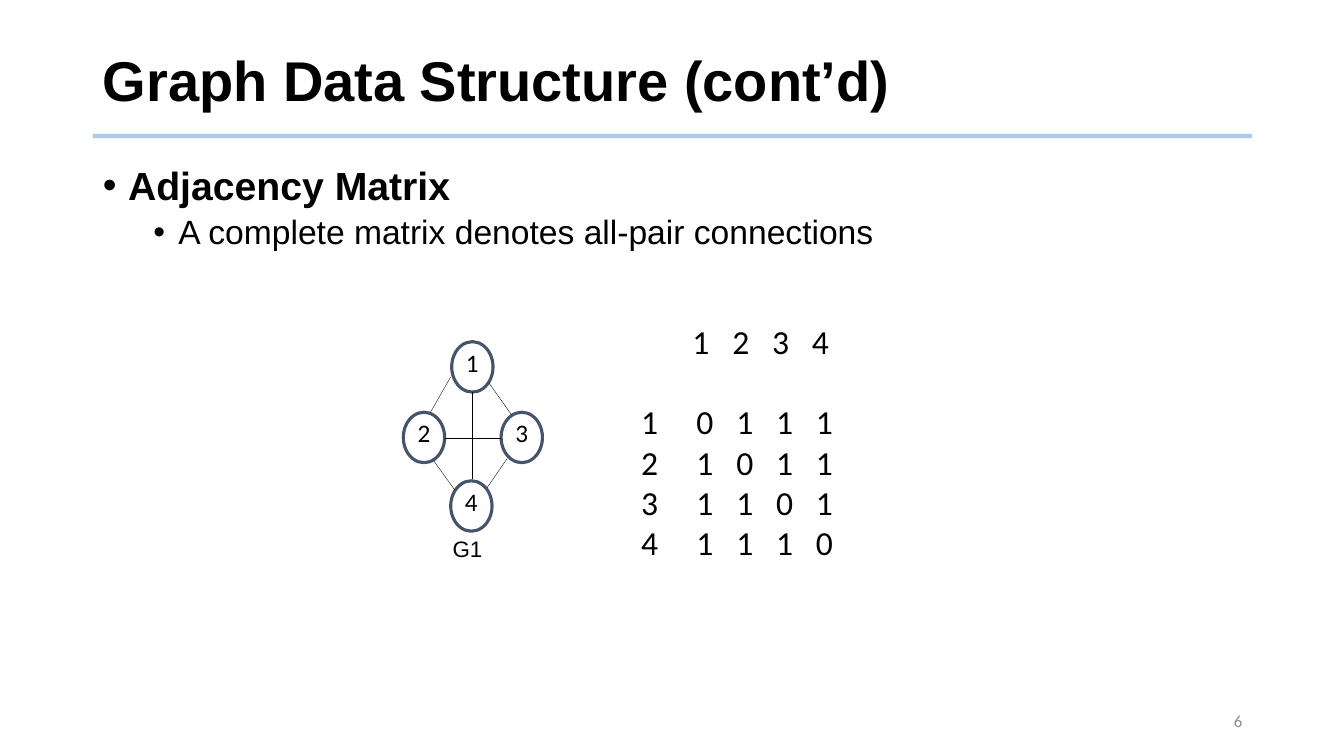
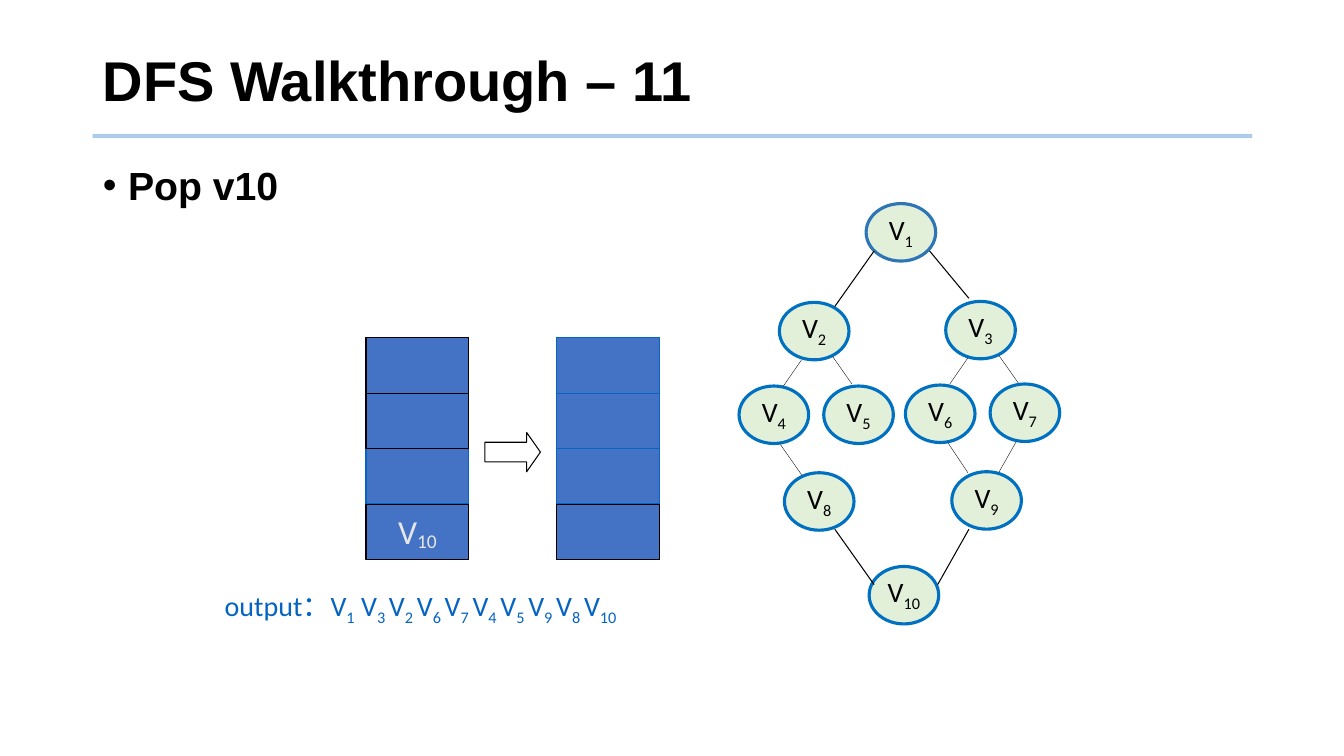
from lxml import etree
from pptx import Presentation, util as u
from pptx.dml.color import RGBColor
from pptx.enum import shapes, text
from pptx.oxml import ns

BLACK, BLUE, LINK, RULE = "000000", "0070C0", "0563C1", "5B9BD5"
SLATE, GREEN, SLOT = "44546A", "E2F0D9", "4472C4"
GRAY, PALE = "8C8C8C", "E7E6E6"
LEFT, WIDE = 0.92, 11.5
Kind, Align, Anchor = shapes.MSO_SHAPE, text.PP_ALIGN, text.MSO_ANCHOR


def color(part, code):
    """Give a font or a fill its solid colour."""
    if hasattr(part, "solid"):
        part.solid()
        part.fore_color.rgb = RGBColor.from_string(code)
    else:
        part.color.rgb = RGBColor.from_string(code)


def sub(node, tag, **attrs):
    """Append a drawing element to a node."""
    return etree.SubElement(node, ns.qn("a:" + tag), **attrs)


def place(item, x, y, w, h):
    """Move and size a shape in inches."""
    item.left, item.top, item.width, item.height = map(u.Inches, (x, y, w, h))


def write(par, words, size, code=BLACK, face="Calibri", bold=False, drop=-25):
    """Write words, lowering every second piece between bars."""
    font = par.font
    font.size, font.name, font.bold = u.Pt(size), face, bold
    color(font, code)
    for i, piece in enumerate(words.split("|")):
        run = par.add_run()
        run.text = piece
        if i % 2:
            run._r.get_or_add_rPr().set("baseline", str(drop * 1000))


def label(slide, spot, words, size, code=BLACK, face="Calibri", wrap=True):
    """Add a text box with one paragraph."""
    box = slide.shapes.add_textbox(*map(u.Inches, spot))
    box.text_frame.word_wrap = wrap
    par = box.text_frame.paragraphs[0]
    write(par, words, size, code, face)
    return box.text_frame


def line(slide, ends, width, code=BLACK):
    """Draw a straight line between two points."""
    item = slide.shapes.add_connector(
        shapes.MSO_CONNECTOR.STRAIGHT, *map(u.Inches, ends))
    item.line.width = u.Pt(width)
    color(item.line.fill, code)
    sub(item._element.spPr, "effectLst")
    return item


def shape(slide, kind, spot, edge, width, fill=None):
    """Add a preset shape with its outline and fill."""
    item = slide.shapes.add_shape(kind, *map(u.Inches, spot))
    item.shadow.inherit = False
    item.line.width = u.Pt(width)
    color(item.line.fill, edge)
    if fill:
        color(item.fill, fill)
    else:
        item.fill.background()
    return item


def node(slide, spot, words, size, edge, fill=None):
    """Draw a graph node."""
    item = shape(slide, Kind.OVAL, spot, edge, 2.25, fill)
    frame = item.text_frame
    frame.margin_left = frame.margin_right = 0
    frame.margin_top = frame.margin_bottom = 0
    frame.vertical_anchor = Anchor.TOP
    par = frame.paragraphs[0]
    par.alignment, par.line_spacing = Align.CENTER, 0.96
    write(par, words, size)


def bullet(par, words, level):
    """Format one list entry by its level."""
    par.level, par.line_spacing = level, 0.9
    par.space_before = u.Pt((10, 5)[level])
    props = par._p.get_or_add_pPr()
    props.set("marL", str(u.Inches((0.25, 0.75)[level])))
    props.set("indent", str(u.Inches(-0.25)))
    sub(props, "buFont", typeface="Arial")
    sub(props, "buChar", char="•")
    write(par, words, (28, 24)[level], face="Arial", bold=level == 0)


def page(deck, title, items, height):
    """Add a slide with its title, rule and list."""
    slide = deck.slides.add_slide(deck.slide_layouts[1])
    rule = line(slide, (LEFT, 1.35, LEFT + WIDE, 1.35), 3, RULE)
    tint = next(rule._element.iter(ns.qn("a:srgbClr")))
    sub(tint, "alpha", val="50000")
    head, body = slide.shapes.title, slide.placeholders[1]
    place(head, LEFT, 0.28, WIDE, 1.1)
    place(body, LEFT, 1.6, WIDE, height)
    par = head.text_frame.paragraphs[0]
    par.alignment, par.line_spacing = Align.LEFT, 0.9
    write(par, title, 40, face="Arial", bold=True)
    frame = body.text_frame
    for level, words in enumerate(items):
        par = frame.add_paragraph() if level else frame.paragraphs[0]
        bullet(par, words, level)
    return slide


def tabs(par, start):
    """Set four equal tab stops."""
    stops = etree.Element(ns.qn("a:tabLst"))
    for i in range(4):
        sub(stops, "tab", pos=str(u.Inches(start + i * 0.395)), algn="l")
    par._p.get_or_add_pPr().find(ns.qn("a:defRPr")).addprevious(stops)


def matrix(slide):
    """Write the adjacency matrix of a complete graph."""
    frame = label(slide, (6.26, 3.13, 2.74, 3.43), "\t1\t2\t3\t4", 24)
    top = frame.paragraphs[0]
    top.space_after = u.Pt(29)
    tabs(top, 0.51)
    for row in range(1, 5):
        cells = [row] + [int(row != col) for col in range(1, 5)]
        par = frame.add_paragraph()
        write(par, "\t".join(map(str, cells)), 24)
        tabs(par, 0.55)


def graph(deck):
    """Build the adjacency matrix slide."""
    slide = page(deck, "Graph Data Structure (cont’d)",
                 ["Adjacency Matrix",
                  "A complete matrix denotes all-pair connections"], 5.15)
    matrix(slide)
    spots = [(4.48, 3.39), (4, 4.09), (4.97, 4.09), (4.47, 4.77)]
    for i, (x, y) in enumerate(spots, 1):
        node(slide, (x, y, 0.41, 0.5), str(i), 18, SLATE)
    for ends in [(4.85, 3.8, 5.07, 4.11), (4.83, 4.84, 5.03, 4.55),
                 (4.3, 4.57, 4.51, 4.86), (4.27, 4.09, 4.47, 3.74),
                 (4.41, 4.35, 4.97, 4.35), (4.68, 3.89, 4.68, 4.75)]:
        line(slide, ends, 0.25)
    name = label(slide, (4.39, 5.26, 0.56, 0.37), "G1", 16, face="Arial",
                 wrap=False)
    name.vertical_anchor = Anchor.MIDDLE
    count = label(slide, (9.42, 6.95, 3, 0.4), "6", 12, GRAY)
    count.vertical_anchor = Anchor.MIDDLE
    count.paragraphs[0].alignment = Align.RIGHT


def stack(slide, x, edges):
    """Draw a stack of four slots and return the lowest."""
    slots = {}
    for i in (3, 2, 0, 1):
        spot = (x, 3.35 + i * 0.55, 1.02, 0.55)
        slots[i] = shape(slide, Kind.RECTANGLE, spot, edges[i], 0.75, SLOT)
    return slots[3]


def walk(deck):
    """Build the depth-first search slide."""
    slide = page(deck, "DFS Walkthrough – 11", ["Pop v10"], 1.33)
    spots = [(8.59, 2.02), (7.73, 3), (9.38, 2.99), (7.33, 3.83),
             (8.17, 3.83), (8.98, 3.82), (9.82, 3.81), (7.78, 4.69),
             (9.44, 4.68), (8.62, 5.62)]
    for i, (x, y) in enumerate(spots, 1):
        edge = "2E75B6" if i == 1 else BLUE
        node(slide, (x, y, 0.69, 0.57), f"V|{i}", 20, edge, GREEN)
    thin = [(7.95, 3.57, 7.77, 3.83), (8.26, 3.54, 8.45, 3.81),
            (7.74, 4.41, 7.95, 4.71), (9.6, 3.55, 9.42, 3.81),
            (9.91, 3.53, 10.1, 3.8), (9.4, 4.39, 9.6, 4.69),
            (10.08, 4.38, 9.91, 4.68)]
    thick = [(8.67, 2.49, 8.28, 3.04), (8.28, 5.25, 8.67, 5.8),
             (9.22, 2.49, 9.61, 2.96), (9.61, 5.25, 9.3, 5.8)]
    for width, edges in ((0.25, thin), (0.75, thick)):
        for ends in edges:
            line(slide, ends, width)
    order = " |V|".join("3 2 6 7 4 5 9 8 10".split())
    label(slide, (2.13, 5.79, 4.92, 0.44), "output：V|1| V|" + order, 20, LINK)
    low = stack(slide, 3.63, (BLACK, BLACK, LINK, BLACK))
    low.text_frame.word_wrap = False
    par = low.text_frame.paragraphs[0]
    par.alignment = Align.CENTER
    write(par, "V|10", 24, PALE, drop=-10)
    stack(slide, 5.52, (LINK, LINK, LINK, BLACK))
    arrow = shape(slide, Kind.RIGHT_ARROW, (4.81, 4.29, 0.55, 0.39),
                  BLACK, 0.75)
    arrow.adjustments[1] = 0.35


def main():
    """Build and save the deck."""
    deck = Presentation()
    deck.slide_width, deck.slide_height = u.Inches(13.33), u.Inches(7.5)
    graph(deck)
    walk(deck)
    deck.save("out.pptx")


if __name__ == "__main__":
    main()
